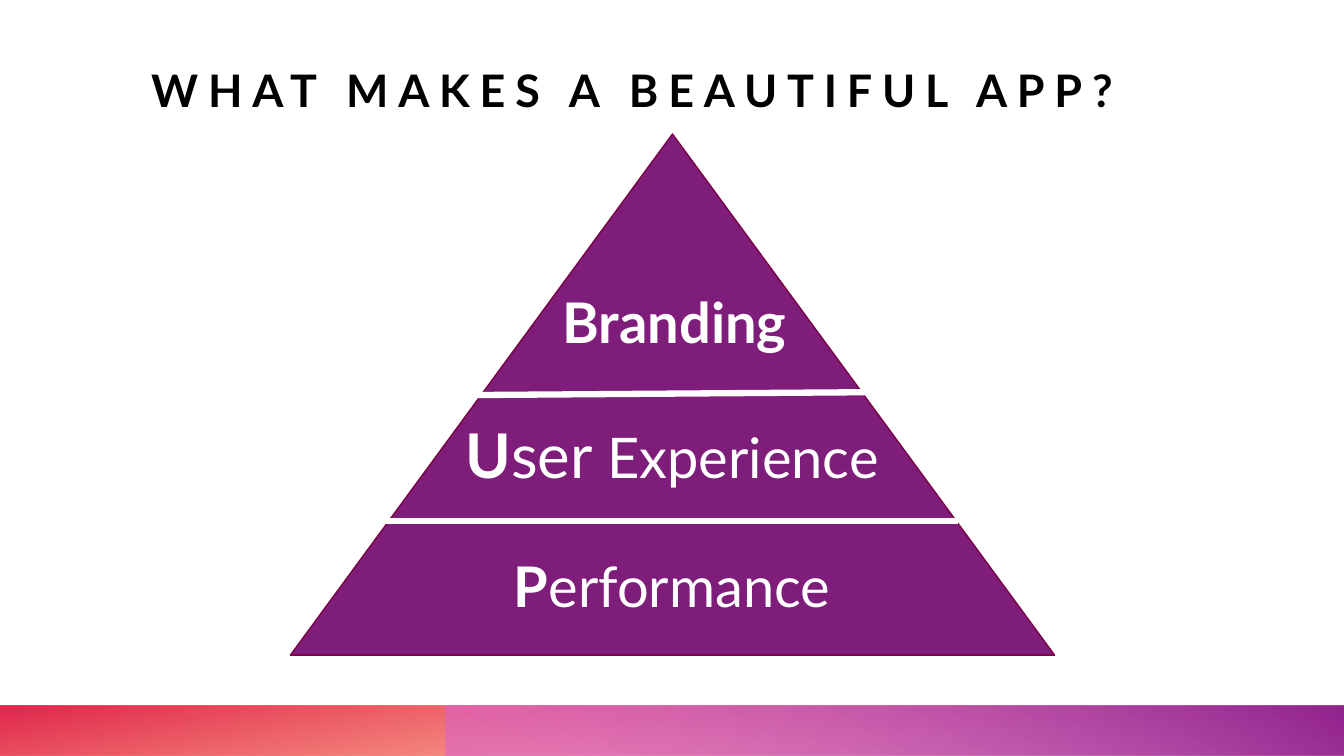
"""Build the slide showing what makes a beautiful app as a pyramid."""
from lxml import etree
from pptx import Presentation
from pptx.dml.color import RGBColor
from pptx.enum.shapes import MSO_CONNECTOR, MSO_SHAPE
from pptx.enum.text import MSO_ANCHOR, MSO_AUTO_SIZE, PP_ALIGN
from pptx.oxml.ns import qn
from pptx.util import Inches, Pt

RECT, TRIANGLE = MSO_SHAPE.RECTANGLE, MSO_SHAPE.ISOSCELES_TRIANGLE
STRAIGHT = MSO_CONNECTOR.STRAIGHT
LEFT, CENTER = PP_ALIGN.LEFT, PP_ALIGN.CENTER
BOTTOM, NO_FIT = MSO_ANCHOR.BOTTOM, MSO_AUTO_SIZE.NONE
WHITE = "FFFFFF"


def rgb(color):
    return RGBColor.from_string(color)


def add_text(p, text, size=40, color=WHITE, bold=False, spacing=0, align=CENTER):
    p.alignment = align
    r = p.add_run()
    r.text = text
    r.font.name = "Lato"
    r.font.size = Pt(size)
    r.font.bold = bold
    r.font.color.rgb = rgb(color)
    if spacing:
        r._r.get_or_add_rPr().set("spc", str(spacing * 100))


prs = Presentation()
prs.slide_width, prs.slide_height = Inches(13.33), Inches(7.5)
s = prs.slides.add_slide(prs.slide_layouts[5])

footer_bars = [
    (0, 13.33, 180, 100, [(14, "FE4A00", 28), (100, "DA002F", 85)]),
    (4.42, 8.92, 0, 240, [(9, "D861D4", 55), (99, "92248E", 100)]),
]
for left, width, rotation, angle, stops in footer_bars:
    sp = s.shapes.add_shape(RECT, Inches(left), Inches(7), Inches(width), Inches(0.5))
    sp.shadow.inherit = False
    sp.rotation = rotation
    sp.line.fill.background()
    sp.fill.gradient()
    sp.fill.gradient_angle = 360 - angle
    for stop, (position, color, alpha) in zip(sp.fill.gradient_stops, stops):
        stop.position = position / 100
        stop.color.rgb = rgb(color)
    spPr = sp._element.spPr
    spPr.find(qn("a:xfrm")).set("flipH", "1")
    for clr, (position, color, alpha) in zip(spPr.iter(qn("a:srgbClr")), stops):
        etree.SubElement(clr, qn("a:alpha")).set("val", str(alpha * 1000))

title = s.shapes.title
title.left, title.top = Inches(1.5), Inches(0.5)
title.width, title.height = Inches(10.92), Inches(0.66)
tf = title.text_frame
tf.margin_left = tf.margin_right = tf.margin_top = tf.margin_bottom = 0
tf.vertical_anchor = BOTTOM
tf.auto_size = NO_FIT
tf.word_wrap = True
add_text(tf.paragraphs[0], "WHAT MAKES A BEAUTIFUL APP?", size=32,
         color="000000", bold=True, spacing=7, align=LEFT)

pyramid = s.shapes.add_shape(TRIANGLE, Inches(2.88), Inches(1.33), Inches(7.58), Inches(5.17))
pyramid.shadow.inherit = False
pyramid.fill.solid()
pyramid.fill.fore_color.rgb = rgb("7E1D7A")
pyramid.line.color.rgb = rgb("7B0144")
pyramid.line.width = Pt(1)

for x1, y1, x2, y2 in [(3.83, 5.17, 9.5, 5.17), (4.63, 3.92, 8.75, 3.89)]:
    divider = s.shapes.add_connector(STRAIGHT, Inches(x1), Inches(y1), Inches(x2), Inches(y2))
    divider.line.color.rgb = rgb(WHITE)
    divider.line.width = Pt(4.5)
    etree.SubElement(divider._element.spPr, qn("a:effectLst"))

levels = [
    (3.83, 5.42, 5.67, 0.77, [("P", 40, True), ("erformance", 40, False)]),
    (3.83, 4.09, 5.67, 0.84, [("U", 44, True), ("ser ", 44, False), ("Experience", 40, False)]),
    (5.24, 2.8, 2.9, 0.77, [("Branding", 40, True)]),
]
for left, top, width, height, runs in levels:
    label = s.shapes.add_textbox(Inches(left), Inches(top), Inches(width), Inches(height))
    tf = label.text_frame
    tf.word_wrap = True
    for text, size, bold in runs:
        add_text(tf.paragraphs[0], text, size=size, bold=bold)

prs.save("out.pptx")
